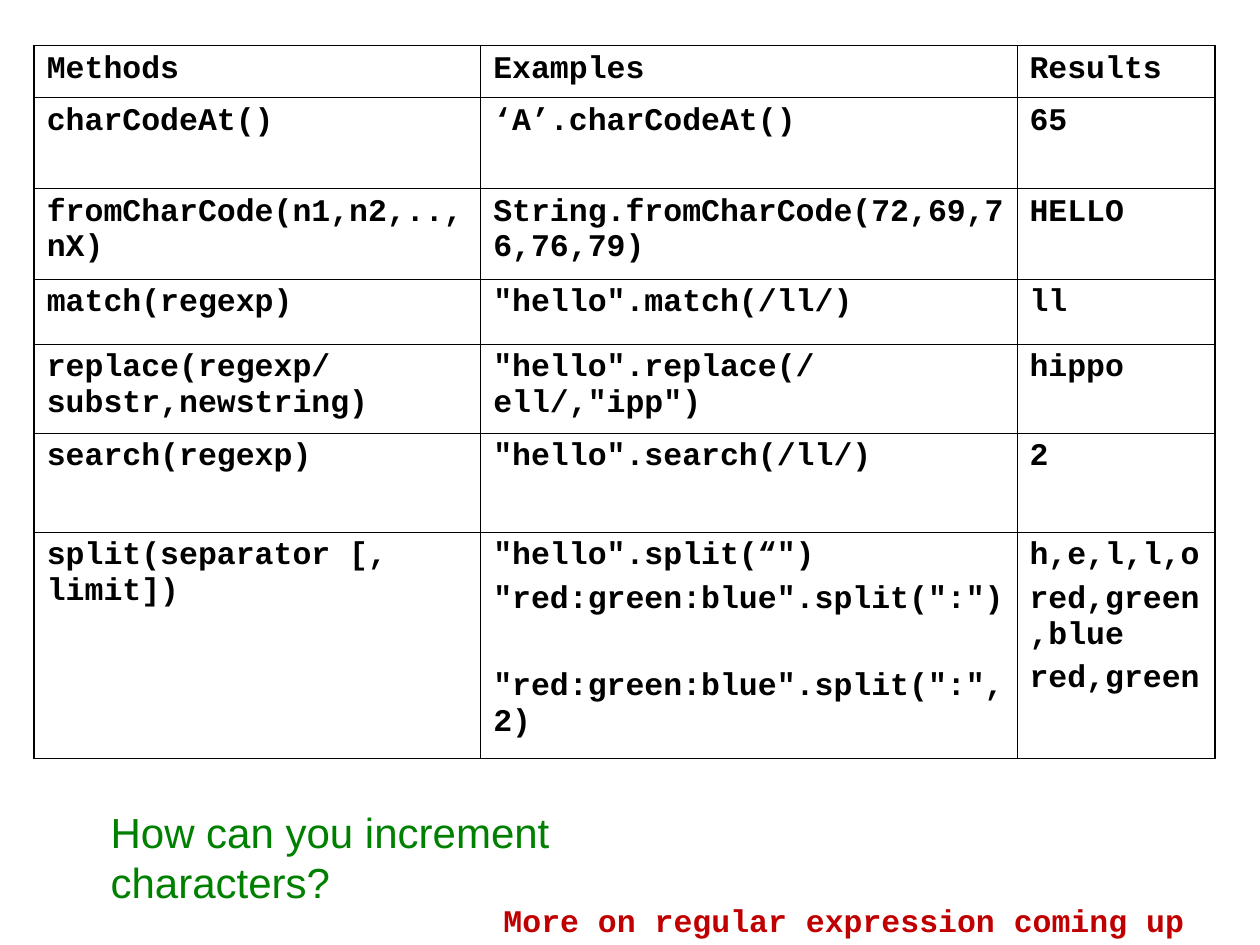
from dataclasses import dataclass

from lxml.etree import SubElement
from pptx import Presentation
from pptx.dml.color import RGBColor
from pptx.enum.text import MSO_AUTO_SIZE as AutoSize
from pptx.oxml.ns import qn
from pptx.util import Cm, Pt


@dataclass(frozen=True)
class Theme:
    ink: str = "000000"
    question: str = "008000"
    teaser: str = "C00000"
    code_font: str = "Courier New"
    prose_font: str = "Arial"
    code_size: float = 18
    question_size: float = 24
    line_gap: float = 4.5
    example_gap: float = 29.4
    thin: float = 0.45
    thick: float = 1.08


THEME = Theme()

COLUMN_WIDTHS = (9.0, 10.81, 3.99)
ROW_HEIGHTS = (1.05, 1.83, 1.83, 1.31, 1.79, 2.0, 4.55)
METHODS = (
    ("Methods", "Examples", "Results"),
    ("charCodeAt()", "‘A’.charCodeAt()", "65"),
    ("fromCharCode(n1,n2,.., nX)", "String.fromCharCode(72,69,76,76,79)", "HELLO"),
    ("match(regexp)", '"hello".match(/ll/)', "ll"),
    ("replace(regexp/substr,newstring)", '"hello".replace(/ell/,"ipp")', "hippo"),
    ("search(regexp)", '"hello".search(/ll/)', "2"),
    (
        "split(separator [, limit])",
        '"hello".split(“")\n"red:green:blue".split(":")\n"red:green:blue".split(":",2)',
        "h,e,l,l,o\nred,green,blue\nred,green",
    ),
)


def write(frame, text, *, font=THEME.code_font, size=THEME.code_size,
          color=THEME.ink, bold=True, gap=THEME.line_gap):
    frame.text = text
    for index, paragraph in enumerate(frame.paragraphs):
        if index:
            paragraph.space_before = Pt(gap)
        for run in paragraph.runs:
            run.font.name = font
            run.font.size = Pt(size)
            run.font.bold = bold
            run.font.color.rgb = RGBColor.from_string(color)


def draw_borders(cell, **widths):
    properties = cell._tc.get_or_add_tcPr()
    for side in "LRTB":
        border = SubElement(properties, qn(f"a:ln{side}"), w=str(Pt(widths[side])))
        fill = SubElement(border, qn("a:solidFill"))
        SubElement(fill, qn("a:srgbClr"), val=THEME.ink)


def add_methods_table(slide):
    table = slide.shapes.add_table(
        len(ROW_HEIGHTS), len(COLUMN_WIDTHS), Cm(0.69), Cm(0.92),
        Cm(sum(COLUMN_WIDTHS)), Cm(sum(ROW_HEIGHTS))).table
    table.first_row = table.horz_banding = False
    for column, width in zip(table.columns, COLUMN_WIDTHS):
        column.width = Cm(width)
    for row, height in zip(table.rows, ROW_HEIGHTS):
        row.height = Cm(height)

    last_column = len(COLUMN_WIDTHS) - 1
    for r, entries in enumerate(METHODS):
        for c, entry in enumerate(entries):
            cell = table.cell(r, c)
            draw_borders(
                cell,
                L=THEME.thick if c == 0 else THEME.thin,
                R=THEME.thick if c == last_column else THEME.thin,
                T=THEME.thick if r == 0 else THEME.thin,
                B=THEME.thin)
            cell.fill.background()
            write(cell.text_frame, entry)
    split_examples = table.cell(len(METHODS) - 1, 1).text_frame
    split_examples.paragraphs[-1].space_before = Pt(THEME.example_gap)


def add_remark(slide, text, left, top, width, height, wrap=True, **style):
    frame = slide.shapes.add_textbox(Cm(left), Cm(top), Cm(width), Cm(height)).text_frame
    frame.word_wrap = wrap
    frame.auto_size = AutoSize.SHAPE_TO_FIT_TEXT
    write(frame, text, **style)


def main():
    deck = Presentation()
    deck.slide_width, deck.slide_height = Cm(25.4), Cm(19.05)
    slide = deck.slides.add_slide(deck.slide_layouts[6])
    add_methods_table(slide)
    add_remark(slide, "More on regular expression coming up",
               9.9, 18.03, 14.6, 1.02, color=THEME.teaser)
    add_remark(slide, "How can you increment characters?",
               1.98, 16.13, 14.0, 1.27, wrap=False, font=THEME.prose_font,
               size=THEME.question_size, color=THEME.question, bold=False)
    deck.save("out.pptx")


if __name__ == "__main__":
    main()
